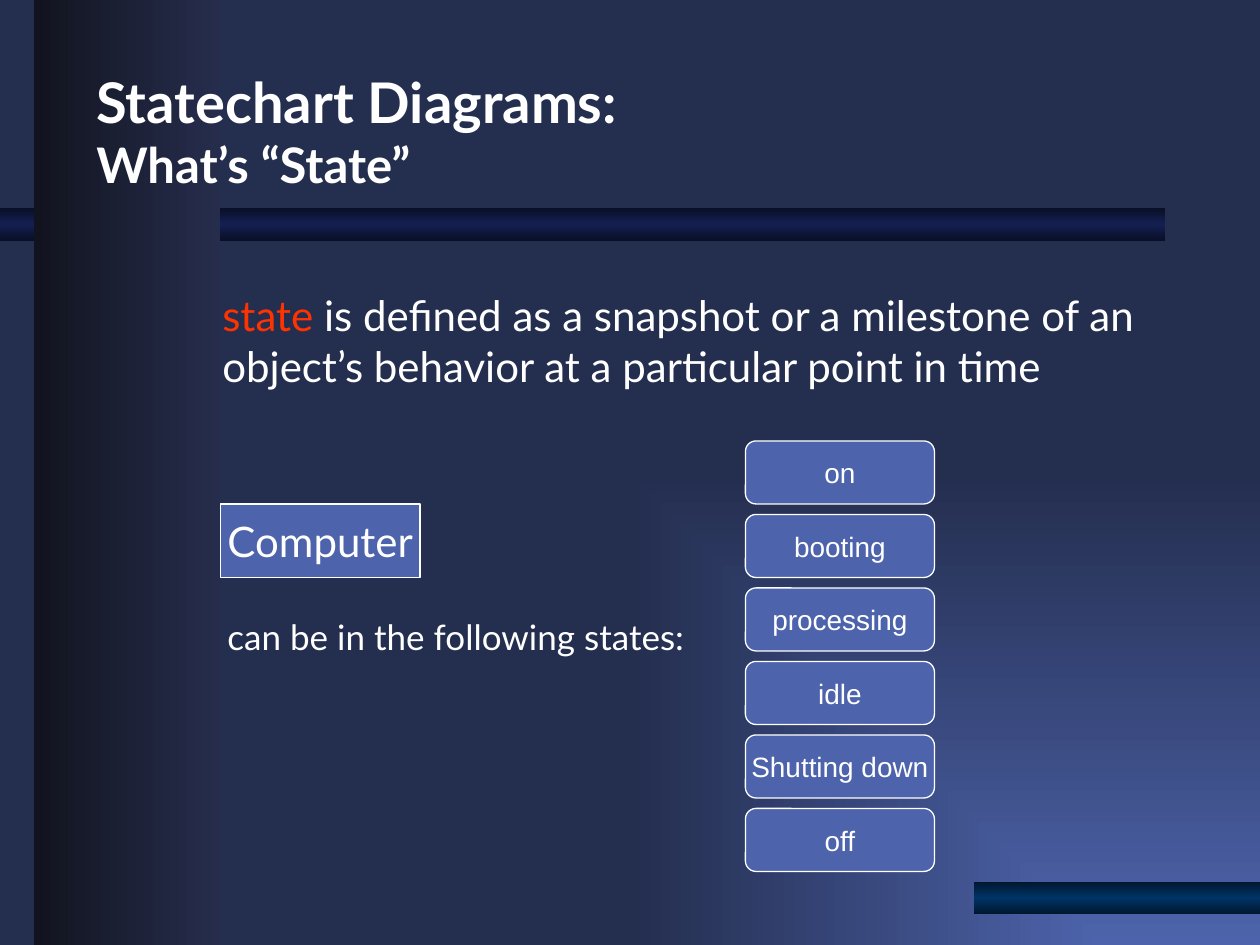
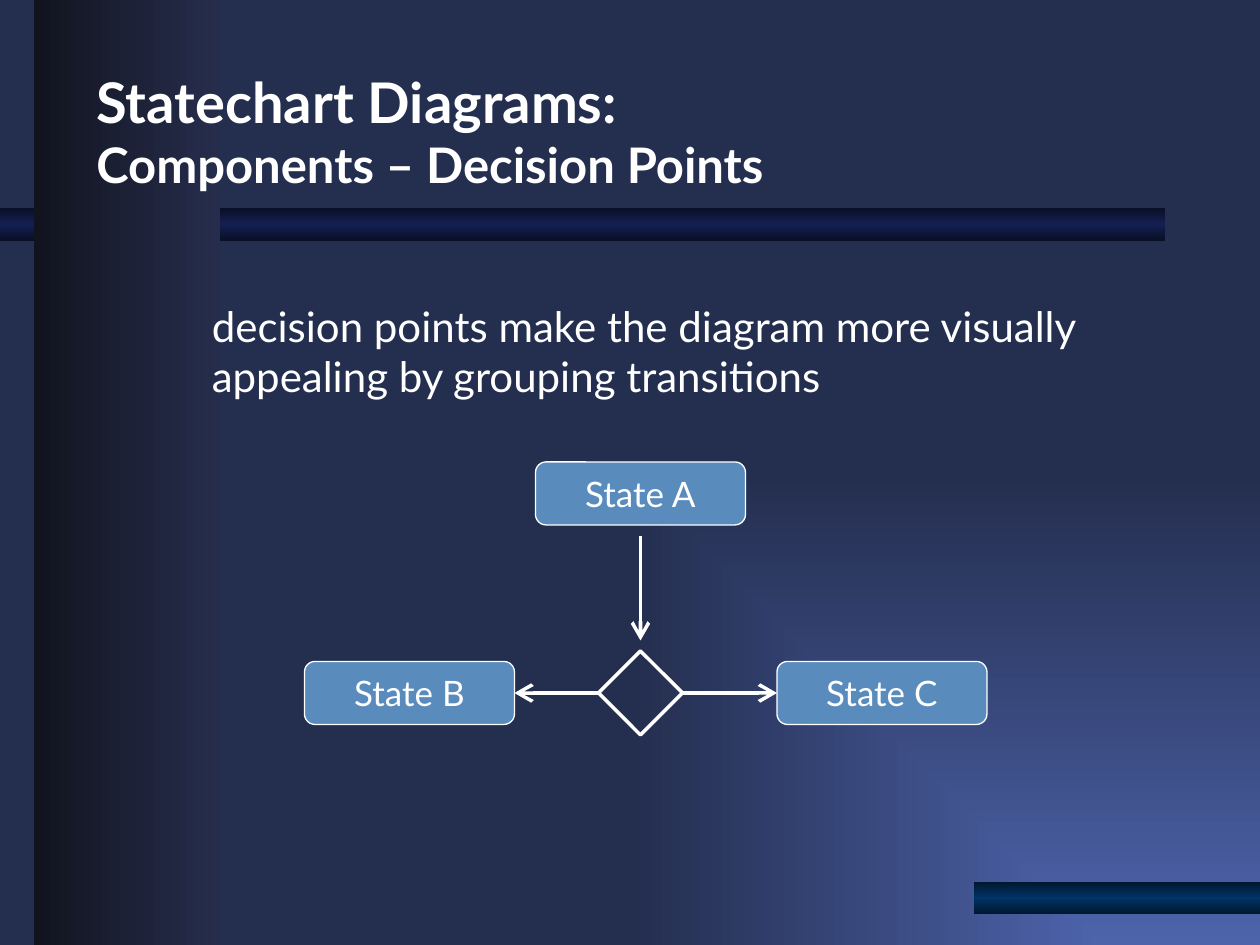
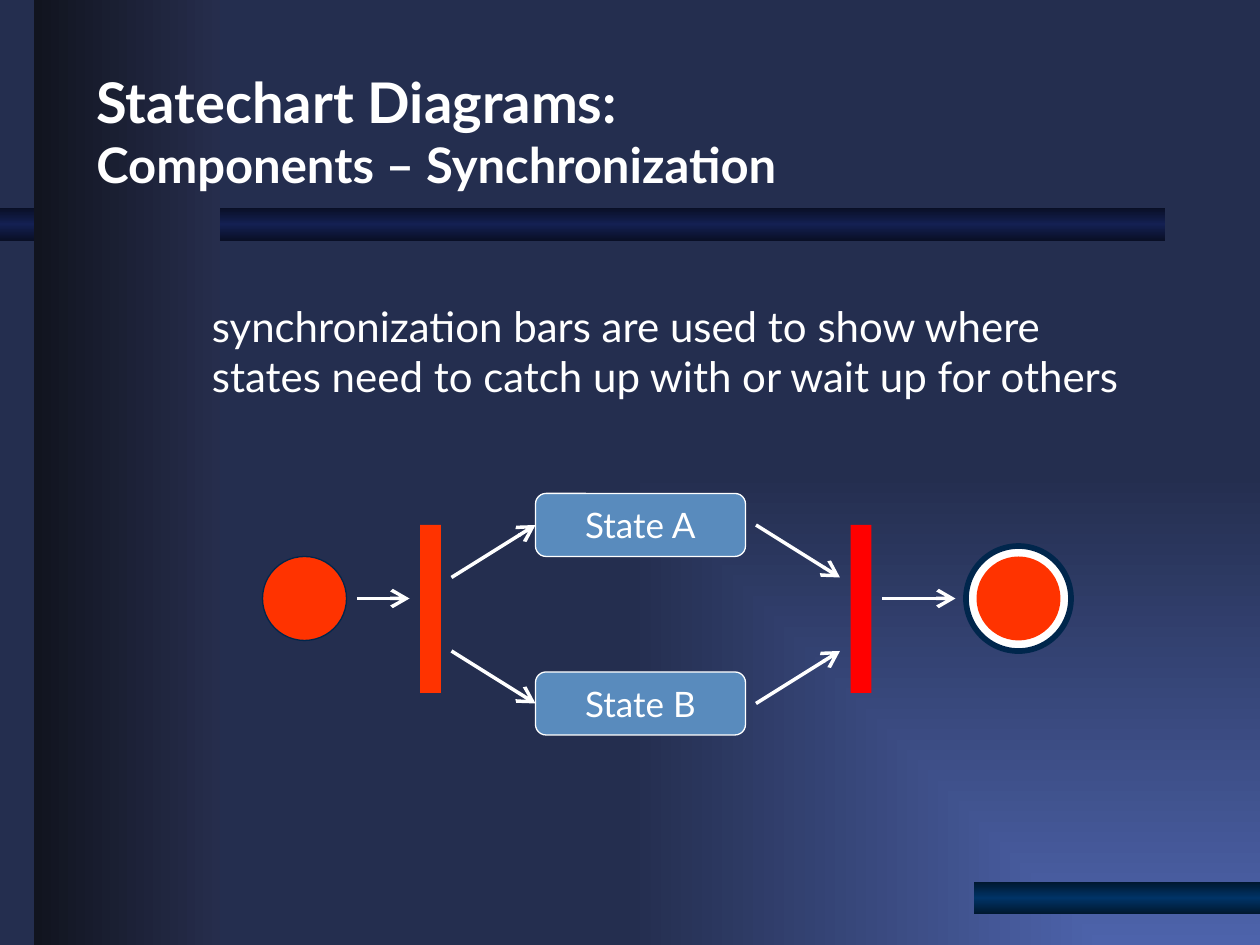
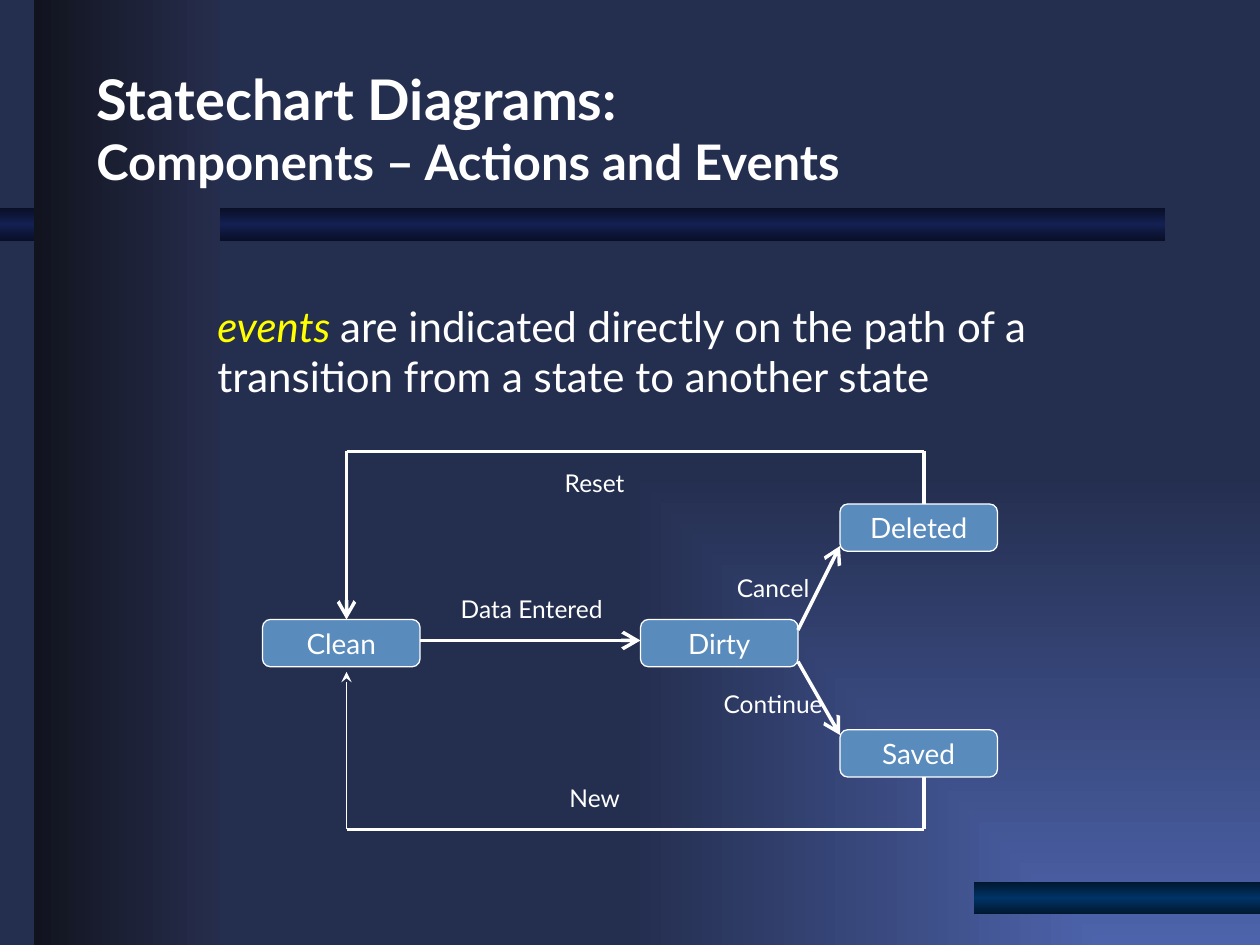
from lxml import etree
from pptx import Presentation
from pptx import util as u
from pptx.dml.color import RGBColor
from pptx.enum import shapes, text
from pptx.oxml import ns

WHITE, RED, YELLOW, INK = "FFFFFF", "FF3300", "FFFF00", "00264C"
NIGHT, INDIGO, STEEL = "242E4F", "4D63AB", "598BBD"
KIND = shapes.MSO_SHAPE
CENTER = text.PP_ALIGN.CENTER
FONT = {"name": "Lato", "size": 24, "bold": False, "italic": False, "color": WHITE}

BANDS = [
    ((0, 118.8, 666, 18.7), ["090F26", "142052", "090F26"], 90),
    ((19.4, 0, 106.6, 540), ["11141F", "262D4C"], 0),
    ((556.6, 504, 163.4, 18.3), ["00182F", "003366", "00182F"], 90),
]


def color(hex_code):
    return RGBColor.from_string(hex_code)


def points(values):
    return [u.Pt(value) for value in values]


def add_child(parent, tag, **attributes):
    child = etree.SubElement(parent, ns.qn(tag))
    for key, value in attributes.items():
        child.set(key, str(value))
    return child


def fill_gradient(fill, element, colors, angle=None):
    fill.gradient()
    gradient = element.xpath(".//a:gradFill")[0]
    for child in list(gradient):
        gradient.remove(child)
    stops = add_child(gradient, "a:gsLst")
    for index, hex_code in enumerate(colors):
        stop = add_child(stops, "a:gs", pos=index * 100000 // (len(colors) - 1))
        add_child(stop, "a:srgbClr", val=hex_code)
    if angle is None:
        corner = add_child(gradient, "a:path", path="rect")
        add_child(corner, "a:fillToRect", l=100000, t=100000, r=0, b=0)
    else:
        add_child(gradient, "a:lin", ang=angle * 60000, scaled=0)


def format_font(font, **changes):
    for key, value in {**FONT, **changes}.items():
        if key == "color":
            font.color.rgb = color(value)
        else:
            setattr(font, key, u.Pt(value) if key == "size" else value)


def write(frame, runs, align=None, **layout):
    for key, value in layout.items():
        setattr(frame, key, value)
    paragraph = frame.paragraphs[0]
    paragraph.alignment = align
    for words, changes in runs:
        if words == "\n":
            paragraph.add_line_break()
            continue
        run = paragraph.add_run()
        run.text = words
        format_font(run.font, **changes)


def add_text(slide, box, runs, align=None, **layout):
    frame = slide.shapes.add_textbox(*points(box)).text_frame
    fit = text.MSO_AUTO_SIZE.SHAPE_TO_FIT_TEXT
    write(frame, runs, align, **{"word_wrap": True, "auto_size": fit, **layout})


def add_figure(canvas, kind, box, fill=None, outline=None, weight=0.75):
    figure = canvas.add_shape(kind, *points(box))
    figure.shadow.inherit = False
    if fill:
        figure.fill.solid()
        figure.fill.fore_color.rgb = color(fill)
    else:
        figure.fill.background()
    if outline:
        figure.line.color.rgb = color(outline)
        figure.line.width = u.Pt(weight)
    else:
        figure.line.fill.background()
    return figure


def add_state(slide, label, box, fill=STEEL, kind=KIND.ROUNDED_RECTANGLE, **font):
    state = add_figure(slide.shapes, kind, box, fill, WHITE)
    write(state.text_frame, [(label, font)], CENTER, word_wrap=False,
          vertical_anchor=text.MSO_ANCHOR.MIDDLE)


def add_path(slide, start, end, head="arrow", weight=2, size="lg"):
    link = slide.shapes.add_connector(shapes.MSO_CONNECTOR.STRAIGHT, *points(start + end))
    link.line.color.rgb = color(WHITE)
    link.line.width = u.Pt(weight)
    if head:
        add_child(link.element.xpath(".//a:ln")[0], "a:tailEnd", type=head, w=size, len=size)
    add_child(link.element.spPr, "a:effectLst")


def add_slide(deck, subtitle, heading="Statechart Diagrams:", title_box=(48, 43.7, 650, 70.5)):
    slide = deck.slides.add_slide(deck.slide_layouts[6])
    for box, colors, angle in BANDS:
        band = add_figure(slide.shapes, KIND.RECTANGLE, box)
        fill_gradient(band.fill, band.element, colors, angle)
    add_text(slide, title_box,
             [(heading, {"size": 32, "bold": True}), ("\n", {}),
              (subtitle, {"size": 28, "bold": True})],
             auto_size=text.MSO_AUTO_SIZE.NONE, vertical_anchor=text.MSO_ANCHOR.BOTTOM)
    return slide


def add_state_slide(deck):
    slide = add_slide(deck, "What’s “State”", "Statechart Diagrams: ")
    add_text(slide, (120, 162, 540, 65), [
        ("state", {"color": RED}),
        (" is defined as a snapshot or a milestone of an object’s behavior "
         "at a particular point in time", {})])
    add_state(slide, "Computer", (126, 288, 114, 42), INDIGO, KIND.RECTANGLE)
    for row, label in enumerate(["on", "booting", "processing", "idle", "Shutting down", "off"]):
        add_state(slide, label, (426, 252 + 42 * row, 108, 36), INDIGO, name="Arial", size=16)
    add_text(slide, (120, 348, 281, 31), [("can be in the following states:", {"size": 20})],
             CENTER, word_wrap=False)


def add_decision_slide(deck):
    slide = add_slide(deck, "Components – Decision Points")
    add_text(slide, (114, 168, 546, 65), [
        ("decision points make the diagram more visually appealing by grouping transitions", {})])
    for label, left, top in [("State A", 306, 264), ("State B", 174, 378), ("State C", 444, 378)]:
        add_state(slide, label, (left, top, 120, 36), size=20)
    add_figure(slide.shapes, KIND.DIAMOND, (342, 372, 48, 48), outline=WHITE, weight=2)
    for start, end in [((366, 306), (366, 366)), ((342, 396), (294, 396)),
                       ((390, 396), (444, 396))]:
        add_path(slide, start, end)


def add_synchronization_slide(deck):
    slide = add_slide(deck, "Components – Synchronization")
    add_text(slide, (114, 168, 546, 65), [
        ("synchronization bars are used to show where states need to catch up with "
         "or wait up for others", {})])
    for label, top in [("State A", 282), ("State B", 384)]:
        add_state(slide, label, (306, top, 120, 36), size=20)
    add_figure(slide.shapes, KIND.OVAL, (150, 318, 48, 48), RED, INK)
    final_state = slide.shapes.add_group_shape().shapes
    add_figure(final_state, KIND.OVAL, (552, 312, 60, 60), WHITE, INK, 3.25)
    add_figure(final_state, KIND.OVAL, (558, 318, 48, 48), RED)
    for left, fill in [(240, RED), (486, "FF0000")]:
        add_figure(slide.shapes, KIND.RECTANGLE, (left, 300, 12, 96), fill)
    for start, end in [((204, 342), (234, 342)), ((504, 342), (546, 342)),
                       ((258, 330), (306, 300)), ((258, 372), (306, 402)),
                       ((432, 300), (480, 330)), ((432, 402), (480, 372))]:
        add_path(slide, start, end)


def add_events_slide(deck):
    slide = add_slide(deck, "Components – Actions and Events", title_box=(48, 22.3, 650, 90))
    add_text(slide, (90, 168, 546, 96), [
        ("events ", {"color": YELLOW, "italic": True}),
        ("are indicated directly on the path of a transition from a state to another state", {})],
        auto_size=text.MSO_AUTO_SIZE.NONE, margin_left=u.Pt(34.2))
    for label, left, top in [("Clean", 150, 354), ("Dirty", 366, 354),
                             ("Deleted", 480, 288), ("Saved", 480, 417)]:
        add_state(slide, label, (left, top, 90, 27), size=16)
    for start, end, head in [
        ((198, 258), (198, 354), "arrow"), ((240, 366), (366, 366), "arrow"),
        ((456, 378), (480, 420), "arrow"), ((456, 360), (480, 312), "arrow"),
        ((198, 258), (528, 258), None), ((528, 258), (528, 288), None),
        ((198, 474), (528, 474), None), ((528, 444), (528, 474), None),
    ]:
        add_path(slide, start, end, head)
    add_path(slide, (198, 474), (198, 384), "stealth", 0.75, "med")
    for event, left, top in [("Data Entered", 252, 336), ("Reset", 288, 264), ("New", 288, 444),
                             ("Cancel", 390, 324), ("Continue", 390, 390)]:
        add_text(slide, (left, top, 103.7, 24), [(event, {"size": 14})], CENTER)


def main():
    deck = Presentation()
    deck.slide_width, deck.slide_height = points((720, 540))
    master = deck.slide_master
    fill_gradient(master.background.fill, master.element, [INDIGO, NIGHT])
    add_state_slide(deck)
    add_decision_slide(deck)
    add_synchronization_slide(deck)
    add_events_slide(deck)
    deck.save("out.pptx")


if __name__ == "__main__":
    main()
